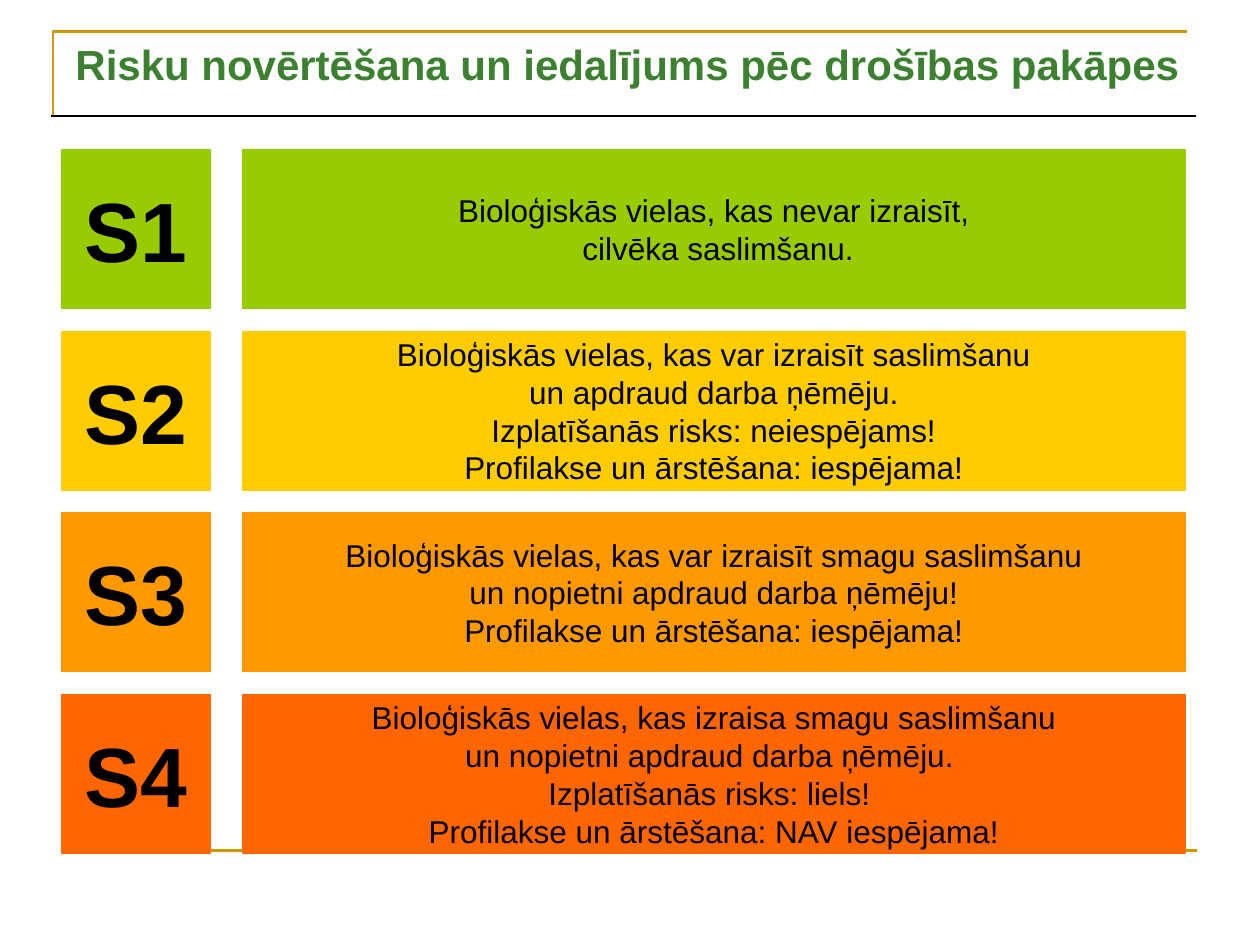
from dataclasses import dataclass

import pptx
import pptx.dml.color
import pptx.enum.shapes
import pptx.enum.text
import pptx.oxml.ns
import pptx.shapes.group
import pptx.slide
import pptx.text.text
import pptx.util
from lxml import etree

Cm = pptx.util.Cm
Pt = pptx.util.Pt
RGBColor = pptx.dml.color.RGBColor

GOLD = RGBColor(0xCC, 0x99, 0x00)
BLACK = RGBColor(0x00, 0x00, 0x00)
GREEN = RGBColor(0x3B, 0x81, 0x2F)
LIME = RGBColor(0x99, 0xCC, 0x00)
YELLOW = RGBColor(0xFF, 0xCC, 0x00)
ORANGE = RGBColor(0xFF, 0x99, 0x00)
RED = RGBColor(0xFF, 0x66, 0x00)

FONT = "Arial"
ROW_TOP, ROW_PITCH, ROW_HEIGHT = 3.02, 3.66, 3.2
LABEL_LEFT, LABEL_WIDTH = 1.24, 3.0
TEXT_LEFT, TEXT_WIDTH = 4.89, 19.0


@dataclass(frozen=True)
class RiskLevel:
    label: str
    color: RGBColor
    lines: tuple[str, ...]


LEVELS = (
    RiskLevel("S1", LIME, (
        "Bioloģiskās vielas, kas nevar izraisīt,",
        " cilvēka saslimšanu.",
    )),
    RiskLevel("S2", YELLOW, (
        "Bioloģiskās vielas, kas var izraisīt saslimšanu",
        "un apdraud darba ņēmēju.",
        "Izplatīšanās risks: neiespējams!",
        "Profilakse un ārstēšana: iespējama!",
    )),
    RiskLevel("S3", ORANGE, (
        "Bioloģiskās vielas, kas var izraisīt smagu saslimšanu",
        "un nopietni apdraud darba ņēmēju!",
        "Profilakse un ārstēšana: iespējama!",
    )),
    RiskLevel("S4", RED, (
        "Bioloģiskās vielas, kas izraisa smagu saslimšanu",
        "un nopietni apdraud darba ņēmēju. ",
        "Izplatīšanās risks: liels! ",
        "Profilakse un ārstēšana: NAV iespējama!",
    )),
)


def write_lines(tf: pptx.text.text.TextFrame, lines: tuple[str, ...], size: int,
                color: RGBColor, bold: bool) -> None:
    tf.word_wrap = False
    for i, line in enumerate(lines):
        p = tf.paragraphs[0] if i == 0 else tf.add_paragraph()
        p.alignment = pptx.enum.text.PP_ALIGN.CENTER
        r = p.add_run()
        r.text = line
        r.font.name = FONT
        r.font.size = Pt(size)
        r.font.bold = bold
        r.font.color.rgb = color


def add_rule(s: pptx.slide.Slide, left: float, right: float, y: float,
             color: RGBColor, width: float) -> None:
    line = s.shapes.add_connector(
        pptx.enum.shapes.MSO_CONNECTOR.STRAIGHT, Cm(left), Cm(y), Cm(right), Cm(y))
    line.line.color.rgb = color
    line.line.width = Pt(width)
    etree.SubElement(line._element.spPr, pptx.oxml.ns.qn("a:effectLst"))


def add_corner(s: pptx.slide.Slide) -> None:
    fb = s.shapes.build_freeform(Cm(1.07), Cm(2.34))
    fb.add_line_segments([(Cm(1.07), Cm(0.64)), (Cm(23.93), Cm(0.64))], close=False)
    sp = fb.convert_to_shape()
    sp.shadow.inherit = False
    sp.fill.background()
    sp.line.color.rgb = GOLD
    sp.line.width = Pt(1.5)


def add_title(s: pptx.slide.Slide, text: str) -> None:
    sp = s.shapes.add_textbox(Cm(1.27), Cm(0.66), Cm(22.76), Cm(1.27))
    write_lines(sp.text_frame, (text,), 24, GREEN, True)


def add_block(group: pptx.shapes.group.GroupShape, left: float, top: float, width: float,
              color: RGBColor, lines: tuple[str, ...], size: int, bold: bool) -> None:
    sp = group.shapes.add_shape(
        pptx.enum.shapes.MSO_SHAPE.RECTANGLE, Cm(left), Cm(top), Cm(width), Cm(ROW_HEIGHT))
    sp.shadow.inherit = False
    sp.fill.solid()
    sp.fill.fore_color.rgb = color
    sp.line.color.rgb = color
    sp.line.width = Pt(0.75)
    sp.text_frame.vertical_anchor = pptx.enum.text.MSO_ANCHOR.MIDDLE
    write_lines(sp.text_frame, lines, size, BLACK, bold)


def add_level(s: pptx.slide.Slide, level: RiskLevel, top: float) -> None:
    group = s.shapes.add_group_shape()
    add_block(group, TEXT_LEFT, top, TEXT_WIDTH, level.color, level.lines, 18, False)
    add_block(group, LABEL_LEFT, top, LABEL_WIDTH, level.color, (level.label,), 48, True)


def main() -> None:
    prs = pptx.Presentation()
    prs.slide_width, prs.slide_height = Cm(25.4), Cm(19.05)
    s = prs.slides.add_slide(prs.slide_layouts[6])
    add_corner(s)
    add_rule(s, 1.27, 24.13, 17.15, GOLD, 1.5)
    add_rule(s, 1.02, 24.1, 2.34, BLACK, 0.75)
    add_title(s, "Risku novērtēšana un iedalījums pēc drošības pakāpes")
    for i, level in enumerate(LEVELS):
        add_level(s, level, ROW_TOP + i * ROW_PITCH)
    prs.save("out.pptx")


if __name__ == "__main__":
    main()
